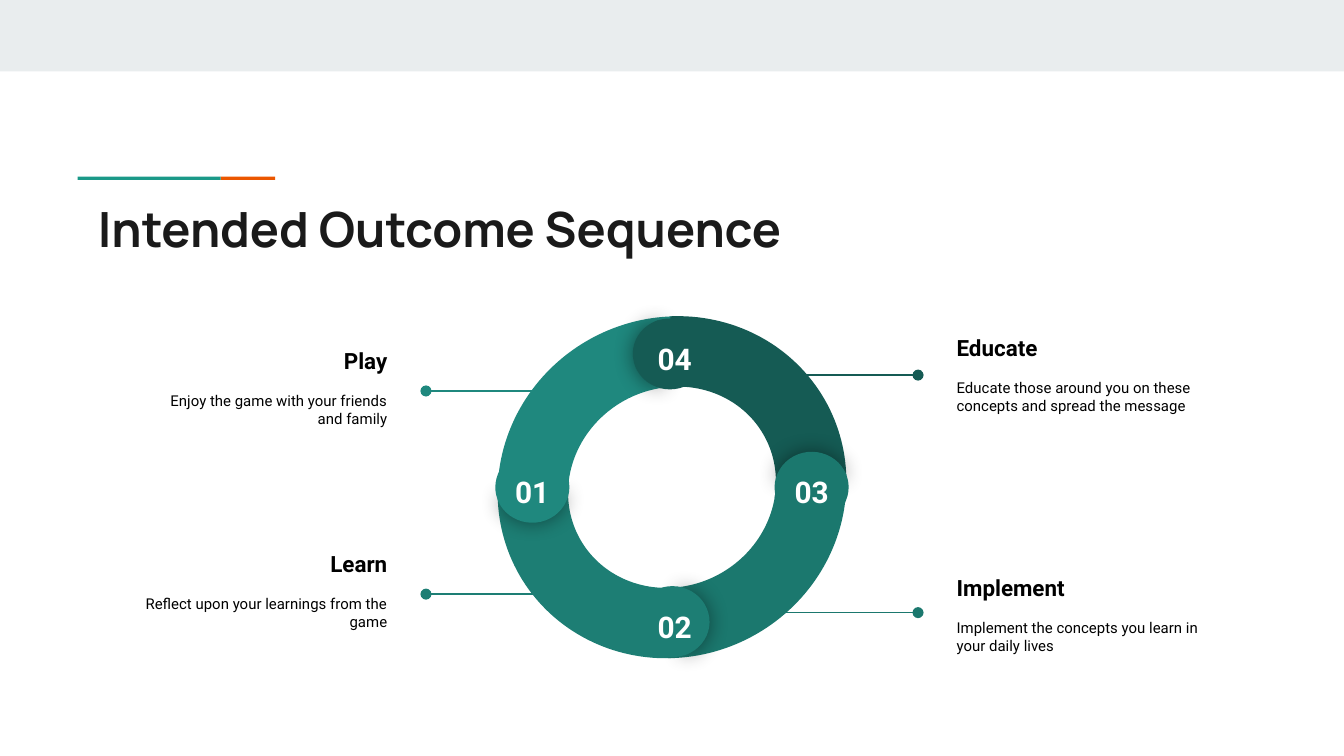
from dataclasses import dataclass

from lxml.etree import SubElement
from pptx import Presentation
from pptx.dml.color import RGBColor
from pptx.enum.shapes import MSO_CONNECTOR, MSO_SHAPE
from pptx.enum.text import MSO_ANCHOR, PP_ALIGN
from pptx.oxml.ns import qn
from pptx.util import Cm, Pt

RING_X, RING_Y = 12.7, 9.21
RING_SHORT, RING_LONG = 6.4, 6.65
CAP_SHORT, CAP_LONG = 1.34, 1.4
NUMBER_WIDTH, NUMBER_HEIGHT = 1.22, 0.61
TEXT_WIDTH, TEXT_HEIGHT = 5.13, 2.97
LEFT_TEXT, RIGHT_TEXT = 2.44, 17.83
LEFT_DOT, RIGHT_DOT = 8.05, 17.35
CAP_BACK = (61.9, 149.96)
CAP_FRONT = (40.28, 171.84)


@dataclass
class Step:
    number: str
    heading: str
    body: str
    color: str
    rotation: int  # of the rounded cap; the arc is 60 degrees ahead
    arc: tuple[float, float]
    cap: tuple[float, float]  # centre
    number_x: float
    text_top: float
    line_start: float
    line_y: float
    on_left: bool


# Listed in drawing order of the arcs
STEPS = [
    Step("02", "Learn", "Reflect upon your learnings from the game", "1D7E74",
         180, (126.23, 181.77), (12.71, 11.75), 12.75, 9.68, 11.2, 11.23, True),
    Step("01", "Play", "Enjoy the game with your friends and family", "1F887E",
         270, (126.23, 181.77), (10.06, 9.21), 10.06, 5.84, 10.57, 7.39, True),
    Step("04", "Educate",
         "Educate those around you on these concepts and spread the message", "155B54",
         0, (125.64, 183.46), (12.66, 6.69), 12.75, 5.59, 14.25, 7.09, False),
    Step("03", "Implement", "Implement the concepts you learn in your daily lives", "1B786E",
         90, (126.23, 180.81), (15.34, 9.21), 15.34, 10.13, 14.25, 11.58, False),
]


def rgb(color: str) -> RGBColor:
    return RGBColor.from_string(color)


def add_filled(slide, kind, left: float, top: float, width: float, height: float, color: str):
    shape = slide.shapes.add_shape(kind, Cm(left), Cm(top), Cm(width), Cm(height))
    shape.fill.solid()
    shape.fill.fore_color.rgb = rgb(color)
    shape.line.fill.background()
    shape.shadow.inherit = False
    return shape


def add_turned(slide, kind, center: tuple[float, float], short: float, long: float,
               rotation: float, angles: tuple, color: str, wide: bool):
    width, height = (long, short) if wide else (short, long)
    shape = add_filled(slide, kind, center[0] - width / 2, center[1] - height / 2,
                       width, height, color)
    shape.rotation = rotation % 360
    for index, angle in enumerate(angles):
        shape.adjustments[index] = angle
    return shape


def add_glow_shadow(shape) -> None:
    effects = shape._element.spPr.find(qn("a:effectLst"))
    shadow = SubElement(effects, qn("a:outerShdw"), blurRad=str(Pt(11.2)), dist="0", dir="0",
                        algn="ctr", rotWithShape="0")
    black = SubElement(shadow, qn("a:srgbClr"), val="000000")
    SubElement(black, qn("a:alpha"), val="43000")


def add_text_frame(slide, left: float, top: float, width: float, height: float,
                   anchor=MSO_ANCHOR.TOP):
    box = slide.shapes.add_textbox(Cm(left), Cm(top), Cm(width), Cm(height))
    frame = box.text_frame
    frame.word_wrap = True
    frame.vertical_anchor = anchor
    frame.margin_left = frame.margin_right = Cm(0.25)
    frame.margin_top = frame.margin_bottom = Cm(0.25)
    return frame


def add_run(paragraph, text: str, size: float, font: str, color: str, bold: bool,
            alignment=PP_ALIGN.LEFT) -> None:
    paragraph.alignment = alignment
    run = paragraph.add_run()
    run.text = text
    run.font.size = Pt(size)
    run.font.name = font
    run.font.bold = bold
    run.font.color.rgb = rgb(color)


def add_arc(slide, step: Step) -> None:
    add_turned(slide, MSO_SHAPE.BLOCK_ARC, (RING_X, RING_Y), RING_SHORT, RING_LONG,
               step.rotation + 60, (*step.arc, 0.208), step.color, step.rotation % 180 == 90)


def add_cap(slide, step: Step) -> None:
    wide = step.rotation % 180 == 0
    back = add_turned(slide, MSO_SHAPE.PIE, step.cap, CAP_SHORT, CAP_LONG,
                      step.rotation + 0.7, CAP_BACK, step.color, wide)
    add_glow_shadow(back)
    add_turned(slide, MSO_SHAPE.PIE, step.cap, CAP_SHORT, CAP_LONG,
               step.rotation + 180, CAP_FRONT, step.color, wide)
    frame = add_text_frame(slide, step.number_x - NUMBER_WIDTH / 2, step.cap[1] - 0.5,
                           NUMBER_WIDTH, NUMBER_HEIGHT)
    add_run(frame.paragraphs[0], step.number, 16, "Roboto", "FFFFFF", True, PP_ALIGN.CENTER)


def add_description(slide, step: Step) -> None:
    left = LEFT_TEXT if step.on_left else RIGHT_TEXT
    alignment = PP_ALIGN.RIGHT if step.on_left else PP_ALIGN.LEFT
    frame = add_text_frame(slide, left, step.text_top, TEXT_WIDTH, TEXT_HEIGHT,
                           MSO_ANCHOR.MIDDLE)
    add_run(frame.paragraphs[0], step.heading, 12, "Roboto", "000000", True, alignment)
    paragraph = frame.add_paragraph()
    paragraph.space_before = Pt(9.5)
    add_run(paragraph, step.body, 8, "Roboto", "000000", False, alignment)


def add_pointer(slide, step: Step) -> None:
    end = LEFT_DOT if step.on_left else RIGHT_DOT
    line = slide.shapes.add_connector(MSO_CONNECTOR.STRAIGHT, Cm(step.line_start),
                                      Cm(step.line_y), Cm(end), Cm(step.line_y))
    line.line.color.rgb = rgb(step.color)
    line.line.width = Pt(0.75)
    SubElement(line.line._get_or_add_ln(), qn("a:tailEnd"), type="oval", w="med", len="med")
    SubElement(line._element.spPr, qn("a:effectLst"))


def main() -> None:
    presentation = Presentation()
    presentation.slide_width = Cm(25.4)
    presentation.slide_height = Cm(14.29)
    slide = presentation.slides.add_slide(presentation.slide_layouts[6])

    # Top band and two-colour accent line
    add_filled(slide, MSO_SHAPE.RECTANGLE, 0, 0, 25.4, 1.35, "E9EDEE")
    add_filled(slide, MSO_SHAPE.RECTANGLE, 4.17, 3.34, 1.03, 0.06, "EB5600")
    add_filled(slide, MSO_SHAPE.RECTANGLE, 1.47, 3.34, 2.7, 0.06, "1A9988")

    # Title
    title = add_text_frame(slide, 1.6, 3.51, 21.36, 1.5)
    add_run(title.paragraphs[0], "Intended Outcome Sequence", 26, "Manrope", "1A1A1A", True)

    # Ring: arcs below, numbered caps above
    for step in STEPS:
        add_arc(slide, step)
    for step in STEPS:
        add_cap(slide, step)

    # Descriptions with pointers
    for step in STEPS:
        add_description(slide, step)
        add_pointer(slide, step)

    presentation.save("out.pptx")


if __name__ == "__main__":
    main()
